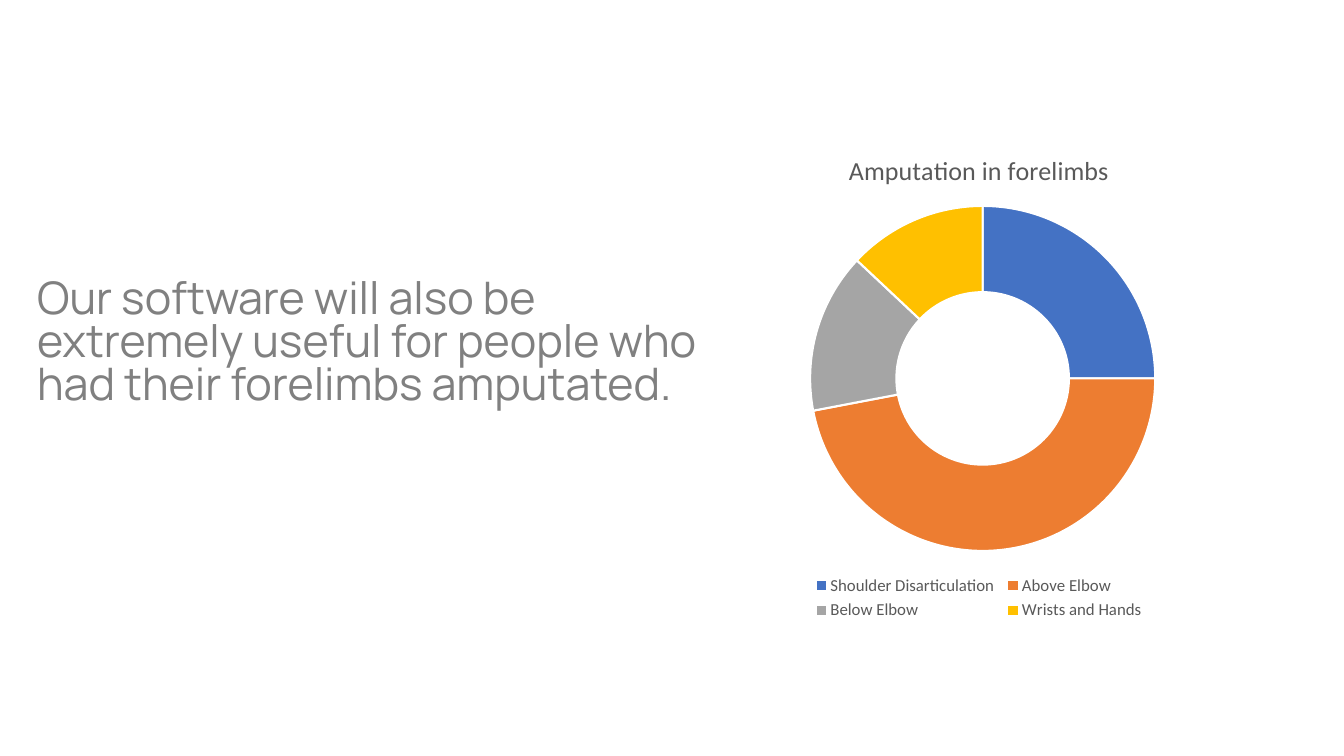
from lxml import etree
from pptx import Presentation
from pptx.chart.data import CategoryChartData
from pptx.dml.color import RGBColor
from pptx.enum.chart import XL_CHART_TYPE, XL_LEGEND_POSITION
from pptx.oxml.ns import qn
from pptx.util import Inches, Pt

DOUGHNUT = XL_CHART_TYPE.DOUGHNUT
LEGEND_BELOW = XL_LEGEND_POSITION.BOTTOM

COLORS = {
    "statement": "808080",
    "label": "595959",
    "separator": "FFFFFF",
}
AMPUTATIONS = [
    ("Shoulder Disarticulation", 25, "4472C4"),
    ("Above Elbow", 47, "ED7D31"),
    ("Below Elbow", 15, "A5A5A5"),
    ("Wrists and Hands", 13, "FFC000"),
]


def rgb(hex_value):
    return RGBColor.from_string(hex_value)


def style_font(font, size, color, name="Calibri"):
    font.name = name
    font.size = Pt(size)
    font.bold = False
    font.color.rgb = rgb(color)


def write_text(frame, text, size, color, name="Calibri", line_spacing=None):
    frame.word_wrap = True
    paragraph = frame.paragraphs[0]
    paragraph.line_spacing = line_spacing
    run = paragraph.add_run()
    run.text = text
    style_font(run.font, size, color, name)


def place_in_chart(element, index, **fractions):
    """Give a chart part a fixed place, in fractions of the chart."""
    for old in element.findall(qn("c:layout")):
        element.remove(old)
    layout = etree.Element(qn("c:layout"))
    manual = etree.SubElement(layout, qn("c:manualLayout"))
    settings = {"xMode": "edge", "yMode": "edge", **fractions}
    for tag, value in settings.items():
        etree.SubElement(manual, qn(f"c:{tag}")).set("val", str(value))
    element.insert(index, layout)


def add_statement(slide, left, top, width, height):
    box = slide.shapes.add_textbox(left, top, width, height)
    write_text(
        box.text_frame,
        "Our software will also be extremely useful for people who "
        "had their forelimbs amputated.",
        size=32, color=COLORS["statement"], name="Manrope", line_spacing=0.8,
    )


def add_amputation_chart(slide, left, top, width, height):
    data = CategoryChartData()
    data.categories = [label for label, _, _ in AMPUTATIONS]
    data.add_series("Series 1", [share for _, share, _ in AMPUTATIONS])
    chart = slide.shapes.add_chart(DOUGHNUT, left, top, width, height, data).chart
    style_font(chart.font, 10, COLORS["label"])

    chart.has_title = True
    write_text(chart.chart_title.text_frame, "Amputation in forelimbs",
               size=18.6, color=COLORS["label"])
    chart.chart_title.include_in_layout = False

    chart.has_legend = True
    legend = chart.legend
    legend.position = LEGEND_BELOW
    legend.include_in_layout = False
    style_font(legend.font, 12, COLORS["label"])

    plot = chart.plots[0]
    plot.vary_by_categories = True
    for index, (_, _, color) in enumerate(AMPUTATIONS):
        segment = plot.series[0].points[index].format
        segment.fill.solid()
        segment.fill.fore_color.rgb = rgb(color)
        segment.line.color.rgb = rgb(COLORS["separator"])
        segment.line.width = Pt(1.5)

    root = chart.element
    root.find(".//" + qn("c:holeSize")).set("val", "75")
    place_in_chart(root.find(".//" + qn("c:plotArea")), 0,
                   layoutTarget="inner", x=0.27, y=0.15, w=0.47, h=0.7)
    place_in_chart(root.find(".//" + qn("c:legend")), 1,
                   x=0.27, y=0.89, w=0.46, h=0.11)


def main():
    deck = Presentation()
    deck.slide_width = Inches(13.33)
    deck.slide_height = Inches(7.5)
    slide = deck.slides.add_slide(deck.slide_layouts[6])
    add_amputation_chart(slide, Inches(6.03), Inches(1.31), Inches(7.36), Inches(4.89))
    add_statement(slide, Inches(0.27), Inches(2.73), Inches(7.04), Inches(2.05))
    deck.save("out.pptx")


if __name__ == "__main__":
    main()
